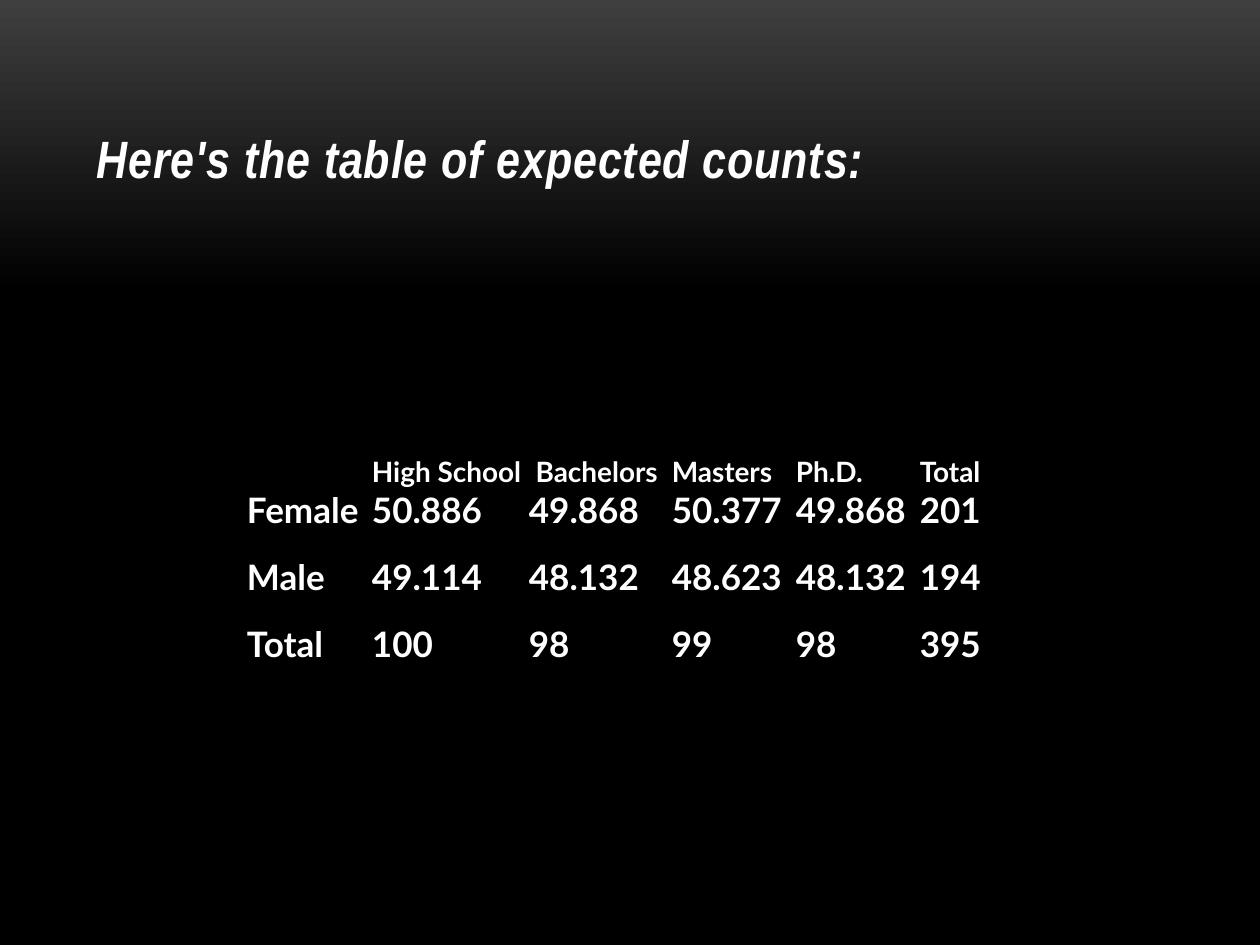
from copy import deepcopy
from dataclasses import dataclass

from lxml.etree import SubElement
from pptx import Presentation
from pptx.dml.color import RGBColor as Color
from pptx.enum.text import MSO_ANCHOR as Anchor, MSO_AUTO_SIZE as AutoSize, PP_ALIGN as Align
from pptx.oxml.ns import qn
from pptx.util import Pt

EMU_PER_PX = 914400 // 126


@dataclass(frozen=True)
class Theme:
    text: Color = Color(0xFF, 0xFF, 0xFF)
    glow: Color = Color(0x3F, 0x3F, 0x3F)
    dark: Color = Color(0, 0, 0)
    title_font: str = "Arial Narrow"
    table_font: str = "Lato"
    title_size: int = 30
    header_size: int = 16
    body_size: int = 20


THEME = Theme()

COUNTS = [
    ["", "High School", " Bachelors", "Masters", "Ph.D.", "Total"],
    ["Female", "50.886", "49.868", "50.377", "49.868", "201"],
    ["Male", "49.114", "48.132", "48.623", "48.132", "194"],
    ["Total", "100", "98", "99", "98", "395"],
]
COLUMN_WIDTHS = [125, 157, 143, 124, 124, 124]
ROW_HEIGHTS = [134, 67, 67, 67]


def px(length):
    return length * EMU_PER_PX


def set_font(font, name, size):
    font.name = name
    font.size = Pt(size)
    font.bold = True
    font.color.rgb = THEME.text


def paint_background(page):
    fill = page.background.fill
    fill.gradient()
    fill.gradient_angle = 270
    start, end = fill.gradient_stops
    start.color.rgb, start.position = THEME.glow, 0
    end.color.rgb, end.position = THEME.dark, 1
    stops = page.element.find(".//" + qn("a:gsLst"))
    middle = deepcopy(stops[1])
    middle.set("pos", "31000")
    stops.insert(1, middle)


def add_title(page, text):
    title = page.shapes.title
    title.left, title.top, title.width, title.height = map(px, (84, 38, 1092, 157))
    frame = title.text_frame
    frame.auto_size = AutoSize.NONE
    frame.vertical_anchor = Anchor.BOTTOM
    para = frame.paragraphs[0]
    para.alignment = Align.LEFT
    span = para.add_run()
    span.text = text
    set_font(span.font, THEME.title_font, THEME.title_size)
    span.font.italic = True
    span.font._element.set("spc", "50")


def add_borders(cell):
    properties = cell._tc.get_or_add_tcPr()
    for side in ("lnL", "lnR", "lnT", "lnB"):
        line = SubElement(properties, qn(f"a:{side}"), w=str(Pt(0.5)))
        fill = SubElement(line, qn("a:solidFill"))
        SubElement(fill, qn("a:srgbClr"), val=str(THEME.dark))


def fill_cell(cell, text, is_header):
    cell.margin_left = cell.margin_right = cell.margin_top = px(1)
    cell.margin_bottom = 0
    cell.vertical_anchor = Anchor.BOTTOM if is_header else Anchor.TOP
    add_borders(cell)
    cell.fill.background()
    para = cell.text_frame.paragraphs[0]
    para.text = text
    para.alignment = Align.JUSTIFY
    set_font(para.font, THEME.table_font, THEME.header_size if is_header else THEME.body_size)


def add_counts_table(page, left, top):
    box = page.shapes.add_table(
        len(COUNTS), len(COLUMN_WIDTHS), px(left), px(top),
        px(sum(COLUMN_WIDTHS)), px(sum(ROW_HEIGHTS)),
    )
    table = box.table
    table.first_row = table.horz_banding = False
    for column, width in zip(table.columns, COLUMN_WIDTHS):
        column.width = px(width)
    for index, (row, height) in enumerate(zip(table.rows, ROW_HEIGHTS)):
        row.height = px(height)
        for cell, text in zip(row.cells, COUNTS[index]):
            fill_cell(cell, text, index == 0)


def main():
    deck = Presentation()
    deck.slide_width, deck.slide_height = px(1260), px(945)
    page = deck.slides.add_slide(deck.slide_layouts[5])
    paint_background(page)
    add_title(page, "Here's the table of expected counts:")
    add_counts_table(page, 246, 354)
    deck.save("out.pptx")


if __name__ == "__main__":
    main()
